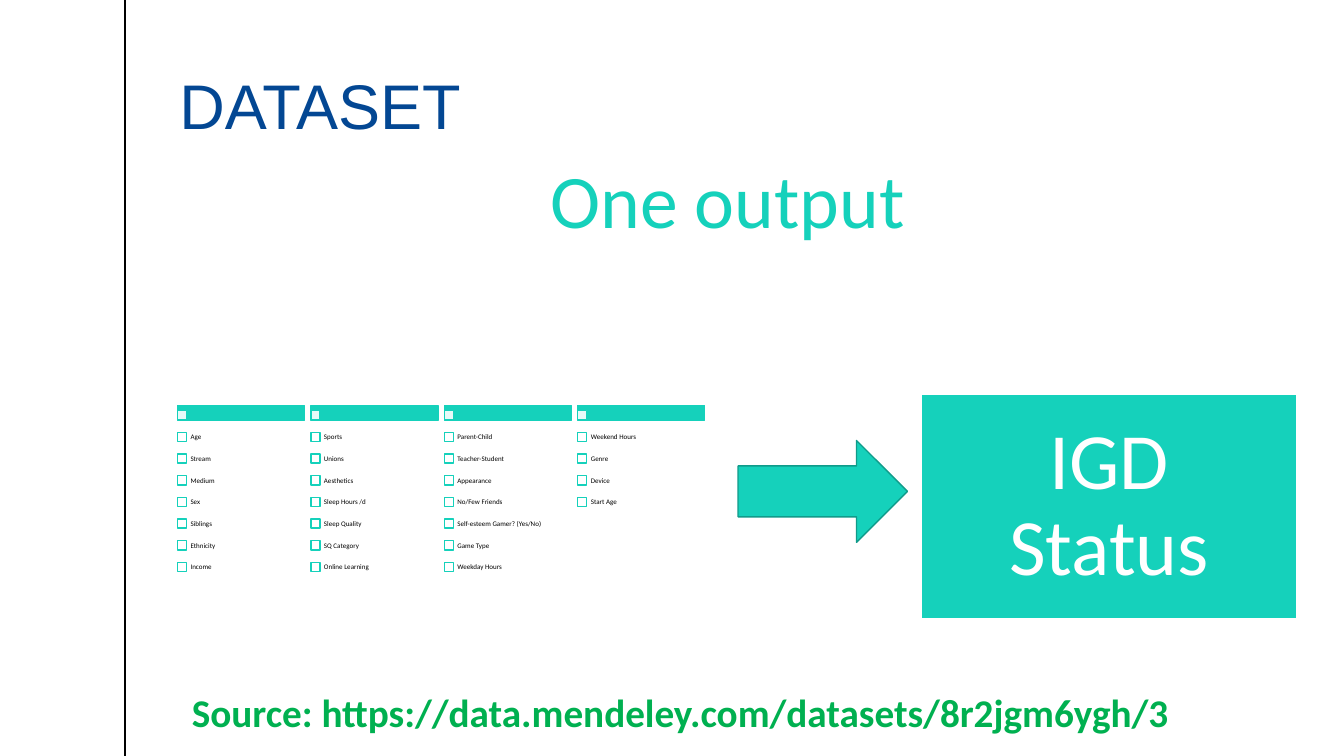
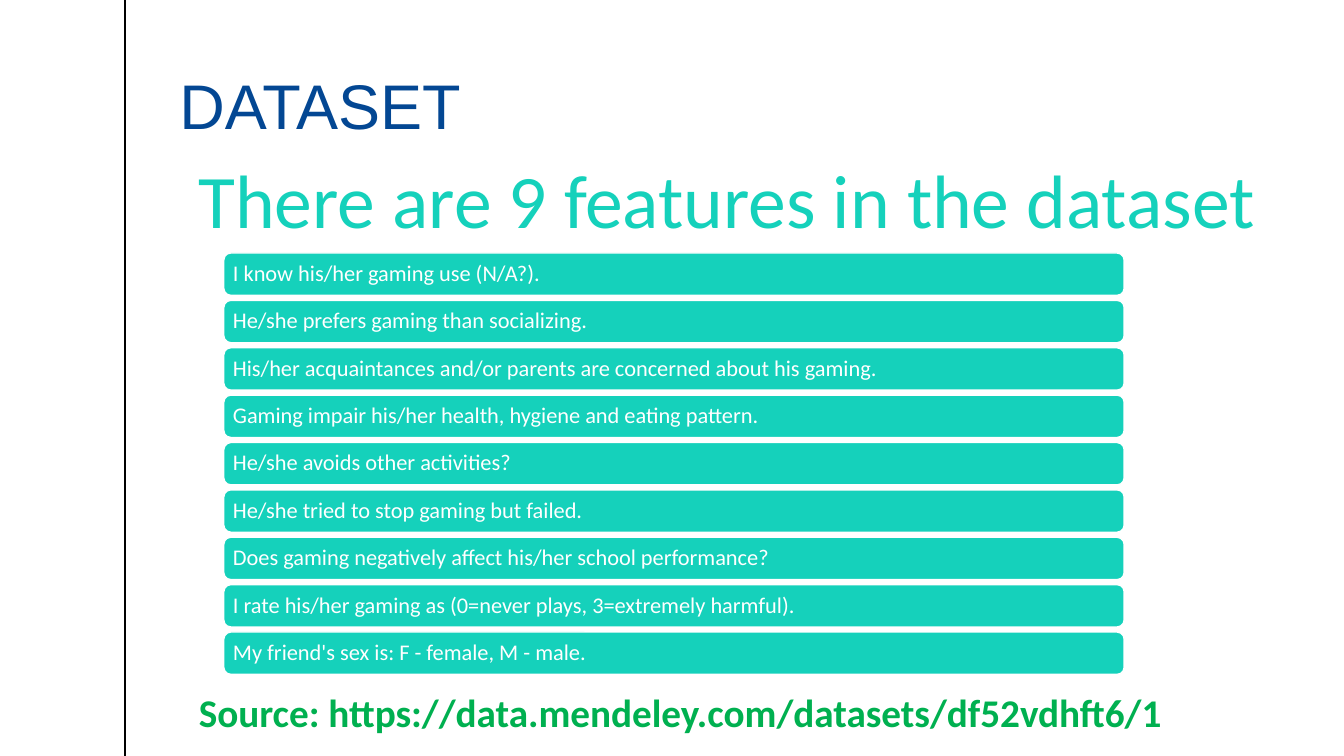
"""Build two slides that describe the gaming datasets."""
from lxml.etree import SubElement
from pptx import Presentation
from pptx.dml.color import RGBColor
from pptx.enum.shapes import MSO_CONNECTOR, MSO_SHAPE
from pptx.enum.text import MSO_ANCHOR, PP_ALIGN
from pptx.oxml.ns import qn
from pptx.util import Pt

PX = 9144
SLIDE_WIDTH, SLIDE_HEIGHT = 1333, 750
COLORS = {
    "teal": "15D1BB",
    "dark_teal": "109B8A",
    "navy": "034793",
    "green": "00B050",
    "black": "000000",
    "white": "FFFFFF",
}
TITLE = "DATASET"
OUTPUT_SLIDE = {
    "heading": "One output",
    "source": "Source: https://data.mendeley.com/datasets/8r2jgm6ygh/3",
    "result": "IGD Status",
    "columns": [
        ["Age", "Stream", "Medium", "Sex", "Siblings", "Ethnicity", "Income"],
        ["Sports", "Unions", "Aesthetics", "Sleep Hours /d", "Sleep Quality",
         "SQ Category", "Online Learning"],
        ["Parent-Child", "Teacher-Student", "Appearance", "No/Few Friends",
         "Self-esteem Gamer? (Yes/No)", "Game Type", "Weekday Hours"],
        ["Weekend Hours", "Genre", "Device", "Start Age"],
    ],
}
FEATURE_SLIDE = {
    "heading": "There are 9 features in the dataset",
    "source": "Source: https://data.mendeley.com/datasets/df52vdhft6/1",
    "features": [
        "I know his/her gaming use (N/A?).",
        "He/she prefers gaming than socializing.",
        "His/her acquaintances and/or parents are concerned about his gaming.",
        "Gaming impair his/her health, hygiene and eating pattern.",
        "He/she avoids other activities?",
        "He/she tried to stop gaming but failed.",
        "Does gaming negatively affect his/her school performance?",
        "I rate his/her gaming as (0=never plays, 3=extremely harmful).",
        "My friend's sex is: F - female, M - male.",
    ],
}
HEADING_BOX = (181, 147, 1080, 101)
SOURCE_BOX = (174, 678, 1001, 57)
COLUMN_LEFT, COLUMN_TOP, COLUMN_WIDTH, COLUMN_SPAN = 176, 402, 126, 397
BAR_HEIGHT, CHECKBOX, LABEL_HEIGHT = 15, 9, 22
FIRST_ROW, ROW_SPAN, ROW_COUNT = 429, 129, 7
FEATURE_BOX, FEATURE_PITCH = (222, 251, 893, 42), 47


def emu(*lengths):
    return [round(length * PX) for length in lengths]


def rgb(name):
    return RGBColor.from_string(COLORS[name])


def write(shape, text, size, color, inset=(10, 5), font="Calibri", bold=False,
          align=PP_ALIGN.LEFT, anchor=MSO_ANCHOR.MIDDLE, spacing=0.9, wrap=True):
    frame = shape.text_frame
    frame.word_wrap = wrap
    frame.vertical_anchor = anchor
    frame.margin_left = frame.margin_right = inset[0] * PX
    frame.margin_top = frame.margin_bottom = inset[1] * PX
    paragraph = frame.paragraphs[0]
    paragraph.text = text
    paragraph.alignment = align
    paragraph.line_spacing = spacing
    paragraph.font.name = font
    paragraph.font.size = Pt(size)
    paragraph.font.bold = bold
    paragraph.font.color.rgb = rgb(color)


def add_text(slide, box, text, size, color, **style):
    write(slide.shapes.add_textbox(*emu(*box)), text, size, color, **style)


def add_block(slide, kind, box, fill, line):
    shape = slide.shapes.add_shape(kind, *emu(*box))
    shape.shadow.inherit = False
    shape.fill.solid()
    shape.fill.fore_color.rgb = rgb(fill)
    shape.line.color.rgb = rgb(line)
    shape.line.width = Pt(1)
    return shape


def add_checkbox(slide, left, top):
    box = (left, top, CHECKBOX, CHECKBOX)
    return add_block(slide, MSO_SHAPE.RECTANGLE, box, "white", "teal")


def set_opacity(shape, percent):
    color = shape.element.spPr.find(qn("a:solidFill")).find(qn("a:srgbClr"))
    SubElement(color, qn("a:alpha")).set("val", str(percent * 1000))


def add_dataset_slide(presentation, content):
    slide = presentation.slides.add_slide(presentation.slide_layouts[6])
    rule = slide.shapes.add_connector(
        MSO_CONNECTOR.STRAIGHT, *emu(124, 0, 124, SLIDE_HEIGHT))
    rule.line.color.rgb = rgb("black")
    rule.line.width = Pt(1)
    SubElement(rule.element.spPr, qn("a:effectLst"))
    add_text(slide, (178, 37, 1108, 110), TITLE, 45, "navy", inset=(0, 5),
             font="Arial", anchor=MSO_ANCHOR.BOTTOM)
    centred = {"align": PP_ALIGN.CENTER, "anchor": MSO_ANCHOR.TOP,
               "spacing": 1.0, "wrap": False}
    heading_box = content.get("heading_box", HEADING_BOX)
    add_text(slide, heading_box, content["heading"], 54, "teal", **centred)
    add_text(slide, SOURCE_BOX, content["source"], 28, "green", bold=True, **centred)
    return slide


def add_checklist(slide, left, labels):
    bar = (left, COLUMN_TOP, COLUMN_WIDTH, BAR_HEIGHT)
    add_block(slide, MSO_SHAPE.RECTANGLE, bar, "teal", "teal")
    set_opacity(add_checkbox(slide, left, COLUMN_TOP + 5), 90)
    for row, label in enumerate(labels):
        top = FIRST_ROW + row * ROW_SPAN / (ROW_COUNT - 1)
        add_checkbox(slide, left, top)
        label_box = (left + CHECKBOX, top - 6, COLUMN_WIDTH - CHECKBOX, LABEL_HEIGHT)
        add_text(slide, label_box, label, 5, "black", inset=(4, 4))


def build_output_slide(presentation):
    content = {**OUTPUT_SLIDE, "heading_box": (534, 147, 375, 101)}
    slide = add_dataset_slide(presentation, content)
    columns = content["columns"]
    pitch = COLUMN_SPAN / (len(columns) - 1)
    for index, labels in enumerate(columns):
        add_checklist(slide, COLUMN_LEFT + index * pitch, labels)
    result = add_block(slide, MSO_SHAPE.RECTANGLE, (914, 391, 372, 223), "teal", "white")
    write(result, content["result"], 57, "white", inset=(24, 24), align=PP_ALIGN.CENTER)
    add_block(slide, MSO_SHAPE.RIGHT_ARROW, (732, 437, 168, 101), "teal", "dark_teal")


def build_feature_slide(presentation):
    slide = add_dataset_slide(presentation, FEATURE_SLIDE)
    left, top, width, height = FEATURE_BOX
    for index, feature in enumerate(FEATURE_SLIDE["features"]):
        box = (left, top + index * FEATURE_PITCH, width, height)
        bar = add_block(slide, MSO_SHAPE.ROUNDED_RECTANGLE, box, "teal", "white")
        write(bar, feature, 16, "white", inset=(7, 7))


def main():
    presentation = Presentation()
    presentation.slide_width, presentation.slide_height = emu(SLIDE_WIDTH, SLIDE_HEIGHT)
    build_output_slide(presentation)
    build_feature_slide(presentation)
    presentation.save("out.pptx")


if __name__ == "__main__":
    main()
